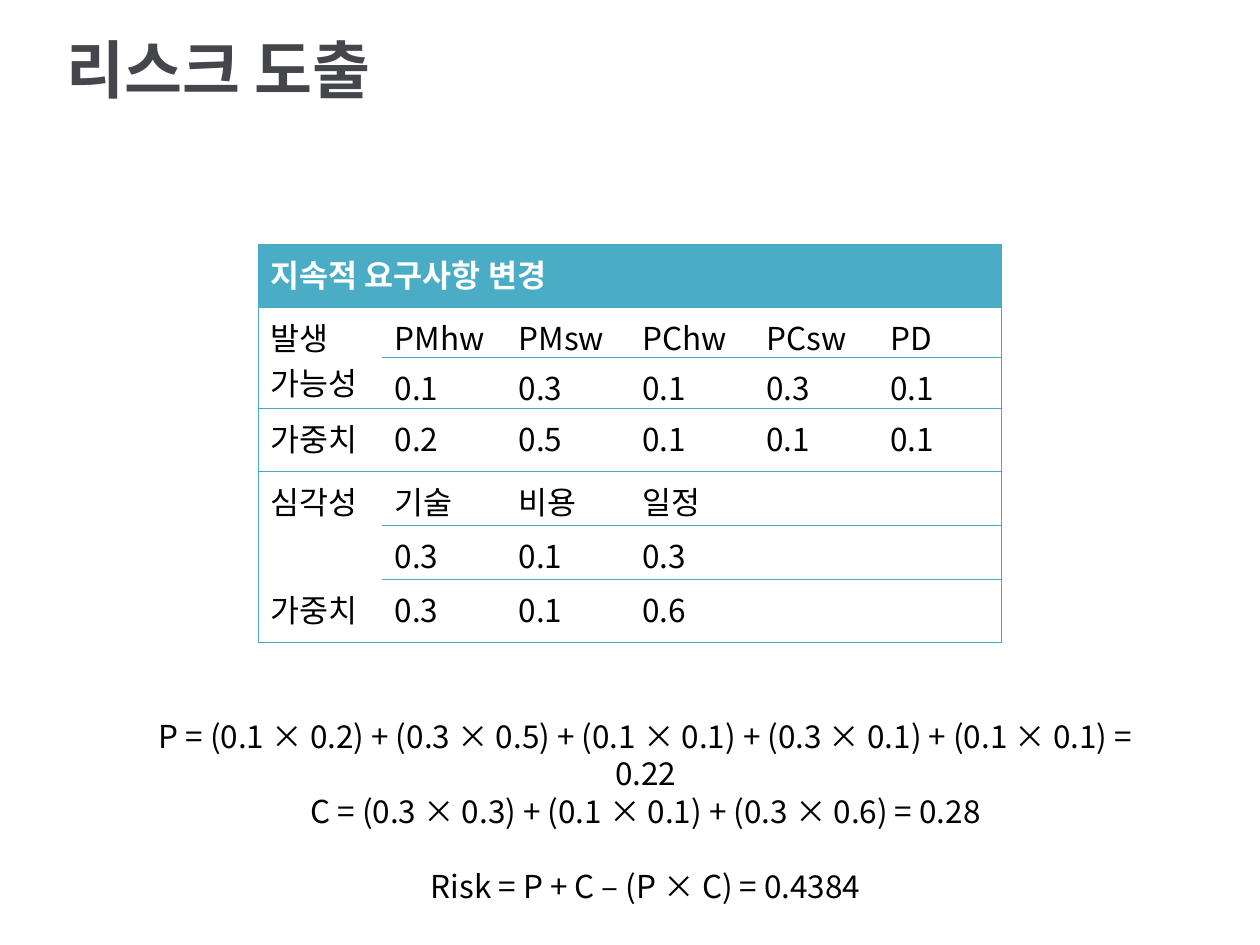
from lxml import etree
from pptx import Presentation
from pptx.dml.color import RGBColor
from pptx.enum.text import MSO_ANCHOR, PP_ALIGN
from pptx.oxml.ns import qn
from pptx.util import Inches, Pt

MIDDLE, TOP = MSO_ANCHOR.MIDDLE, MSO_ANCHOR.TOP
LEFT, CENTER = PP_ALIGN.LEFT, PP_ALIGN.CENTER
FONT = "Noto Sans CJK KR"
TITLE_GRAY = RGBColor(0x44, 0x46, 0x4B)
HEADER_TEAL = RGBColor(0x4B, 0xAC, 0xC6)
BORDER_TEAL = RGBColor(0x46, 0xAA, 0xC5)
BLACK = RGBColor(0, 0, 0)
WHITE = RGBColor(0xFF, 0xFF, 0xFF)

ROW_HEIGHTS = [0.5, 0.4, 0.39, 0.5, 0.43, 0.43, 0.5]
TABLE_ROWS = [
    ["지속적 요구사항 변경"],
    ["발생 \v가능성", "PMhw", "PMsw", "PChw", "PCsw", "PD"],
    ["", "0.1", "0.3", "0.1", "0.3", "0.1"],
    ["가중치", "0.2", "0.5", "0.1", "0.1", "0.1"],
    ["심각성", "기술", "비용", "일정"],
    ["", "0.3", "0.1", "0.3"],
    ["가중치", "0.3", "0.1", "0.6"],
]
MERGES = [((0, 0), (0, 5)), ((1, 0), (2, 0)), ((4, 0), (5, 0))]
OPEN_BOTTOMS = {(4, 0), (5, 0)}  # the severity label runs into its weight
FORMULAS = [
    "P = (0.1 × 0.2) + (0.3 × 0.5) + (0.1 × 0.1) + (0.3 × 0.1) + (0.1 × 0.1) = 0.22",
    "C = (0.3 × 0.3) + (0.1 × 0.1) + (0.3 × 0.6) = 0.28",
    "Risk = P + C – (P × C) = 0.4384",
]


def format_text(paragraph, text, size=18, color=BLACK, bold=False, align=LEFT):
    paragraph.text = text
    paragraph.alignment = align
    font = paragraph.font
    font.size, font.bold, font.name = Pt(size), bold, FONT
    font.color.rgb = color
    for run in paragraph.runs:
        run.font.size, run.font.bold, run.font.name = Pt(size), bold, FONT
        run.font.color.rgb = color
        east_asian = etree.SubElement(run.font._element, qn("a:ea"))
        east_asian.set("typeface", FONT)


def set_borders(cell, visible_sides):
    """Draw the named sides in teal and clear the others."""
    properties = cell._tc.get_or_add_tcPr()
    for index, side in enumerate(("L", "R", "T", "B")):
        line = etree.Element(qn(f"a:ln{side}"), w=str(Pt(0.75)))
        if side in visible_sides:
            fill = etree.SubElement(line, qn("a:solidFill"))
            etree.SubElement(fill, qn("a:srgbClr"), val=str(BORDER_TEAL))
        else:
            etree.SubElement(line, qn("a:noFill"))
        properties.insert(index, line)


class SlideBuilder:
    def __init__(self, slide):
        self.slide = slide

    def text_box(self, left, top, width, height, lines, anchor=TOP,
                 line_spacing=None, **text_format):
        box = self.slide.shapes.add_textbox(
            Inches(left), Inches(top), Inches(width), Inches(height))
        frame = box.text_frame
        frame.word_wrap = True
        frame.vertical_anchor = anchor
        for index, line in enumerate(lines):
            paragraph = frame.add_paragraph() if index else frame.paragraphs[0]
            format_text(paragraph, line, **text_format)
            if line_spacing:
                paragraph.line_spacing = Pt(line_spacing)
        return frame

    def table(self, left, top, width, rows, row_heights, merges):
        columns = max(len(row) for row in rows)
        table = self.slide.shapes.add_table(
            len(rows), columns, Inches(left), Inches(top),
            Inches(width), Inches(sum(row_heights))).table
        table.horz_banding = False
        for column in table.columns:
            column.width = Inches(width / columns)
        for row_index, height in enumerate(row_heights):
            table.rows[row_index].height = Inches(height)
            for column_index in range(columns):
                cell = table.cell(row_index, column_index)
                header = row_index == 0
                values = rows[row_index]
                text = values[column_index] if column_index < len(values) else ""
                format_text(cell.text_frame.paragraphs[0], text, bold=header,
                            color=WHITE if header else BLACK)
                if header:
                    cell.fill.solid()
                    cell.fill.fore_color.rgb = HEADER_TEAL
                else:
                    cell.fill.background()
                # Outer frame plus a rule below each row
                sides = "T" if header else ""
                sides += "L" if column_index == 0 else ""
                sides += "R" if column_index == columns - 1 or header else ""
                if (row_index, column_index) not in OPEN_BOTTOMS:
                    sides += "B"
                # The rule above a cell is shared with the cell over it
                if row_index and (row_index - 1, column_index) not in OPEN_BOTTOMS:
                    sides += "T"
                set_borders(cell, sides)
        for first, last in merges:
            table.cell(*first).merge(table.cell(*last))


def main():
    presentation = Presentation()
    presentation.slide_width, presentation.slide_height = Inches(10), Inches(7.5)
    builder = SlideBuilder(
        presentation.slides.add_slide(presentation.slide_layouts[6]))

    # Title
    builder.text_box(0.43, 0.04, 6.46, 1.01, ["리스크 도출"], anchor=MIDDLE,
                     size=36, color=TITLE_GRAY, bold=True)

    # Probability and severity table
    builder.table(2.05, 1.94, 5.9, TABLE_ROWS, ROW_HEIGHTS, MERGES)

    # Risk formulas, with a line's gap before the result
    formulas = builder.text_box(1.12, 5.64, 8.01, 1.31, FORMULAS,
                                line_spacing=21.5, align=CENTER)
    formulas.paragraphs[-1].space_before = Pt(21.5)

    presentation.save("out.pptx")


if __name__ == "__main__":
    main()
